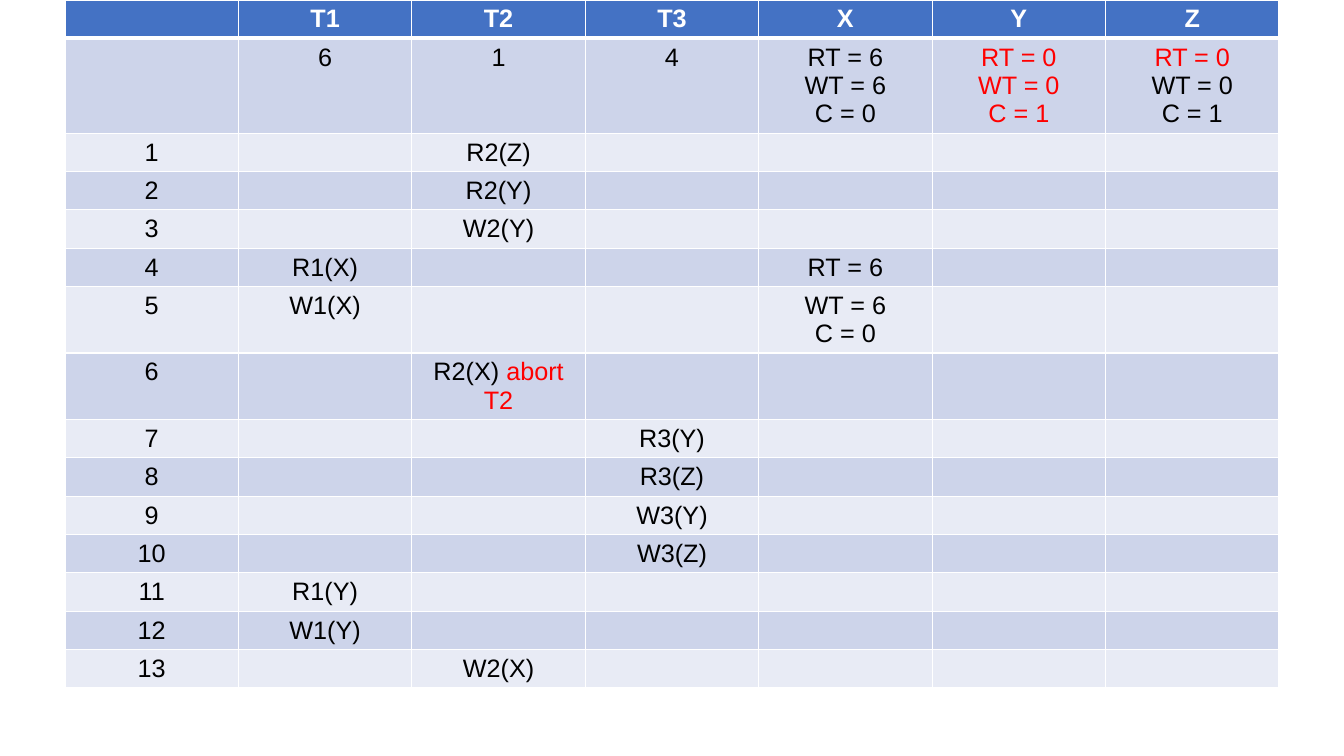
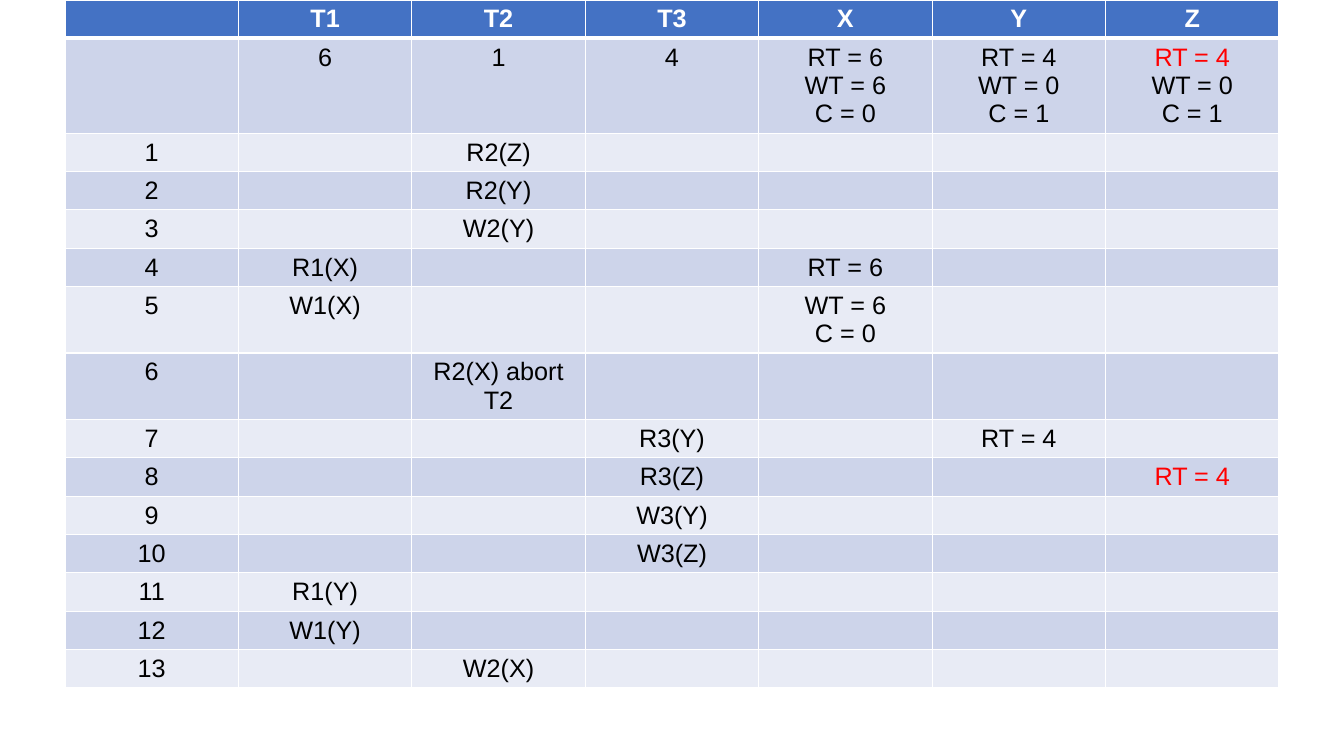
from dataclasses import dataclass

from lxml import etree
from pptx import Presentation
from pptx.dml.color import RGBColor
from pptx.enum.text import PP_ALIGN
from pptx.oxml.ns import qn
from pptx.util import Emu, Pt

CENTER = PP_ALIGN.CENTER
SCALE = 12192000 / 1344  # EMU in one px


def px(n):
    return Emu(round(n * SCALE))


@dataclass(frozen=True)
class Theme:
    font: str = "Arial"
    size: int = 18
    head: str = "4472C4"
    dark: str = "CDD4EA"
    light: str = "E8EBF5"
    white: str = "FFFFFF"
    black: str = "000000"
    red: str = "FF0000"
    thin: int = 1
    thick: int = 3


class Deck:
    def __init__(self, theme):
        self.theme = theme
        self.prs = Presentation()
        self.prs.slide_width, self.prs.slide_height = px(1344), px(756)
        self.slide = None

    def page(self):
        self.slide = self.prs.slides.add_slide(self.prs.slide_layouts[6])

    def border(self, cell, top, bottom):
        thin = self.theme.thin
        props = cell._tc.get_or_add_tcPr()
        for side, width in zip("LRTB", (thin, thin, top, bottom)):
            line = etree.SubElement(props, qn("a:ln" + side), w=str(Pt(width)))
            fill = etree.SubElement(line, qn("a:solidFill"))
            etree.SubElement(fill, qn("a:srgbClr"), val=self.theme.white)

    def label(self, cell, text, color, bold):
        """Fill a cell, one paragraph a line; each * turns red on or off."""
        t = self.theme
        cell.text_frame.text = text.replace("*", "")
        for par, line in zip(cell.text_frame.paragraphs, text.split("\n")):
            par.alignment = CENTER
            if not line:
                # An empty cell keeps the line height of the table font
                end = etree.SubElement(par._p, qn("a:endParaRPr"), sz=str(t.size * 100))
                etree.SubElement(end, qn("a:latin"), typeface=t.font)
                continue
            par.clear()
            for i, part in enumerate(line.split("*")):
                if part:
                    run = par.add_run()
                    run.text = part
                    run.font.name, run.font.size = t.font, Pt(t.size)
                    run.font.bold = bold
                    run.font.color.rgb = RGBColor.from_string(t.red if i % 2 else color)

    def table(self, x, y, width, heights, rows):
        t = self.theme
        count = len(rows[0])
        frame = self.slide.shapes.add_table(
            len(rows), count, px(x), px(y), px(width), px(sum(heights)))
        grid = frame.table
        for col in grid.columns:
            col.width = px(width / count)
        for r, texts in enumerate(rows):
            grid.rows[r].height = px(heights[r])
            head = r == 0
            back = t.head if head else t.dark if r % 2 else t.light
            for c, text in enumerate(texts):
                cell = grid.cell(r, c)
                self.border(cell, t.thick if r == 1 else t.thin, t.thick if head else t.thin)
                cell.fill.solid()
                cell.fill.fore_color.rgb = RGBColor.from_string(back)
                self.label(cell, text, t.white if head else t.black, head)


# Schedule shared by both slides: (column, operation) of each step
HEAD = ["", "T1", "T2", "T3", "X", "Y", "Z"]
STEPS = [
    ("T2", "R2(Z)"), ("T2", "R2(Y)"), ("T2", "W2(Y)"),
    ("T1", "R1(X)"), ("T1", "W1(X)"), ("T2", "R2(X) abort T2"),
    ("T3", "R3(Y)"), ("T3", "R3(Z)"), ("T3", "W3(Y)"), ("T3", "W3(Z)"),
    ("T1", "R1(Y)"), ("T1", "W1(Y)"), ("T2", "W2(X)"),
]
START = ["", "6", "1", "4", "RT = 6\nWT = 6\nC = 0"]
STAMPS = {(4, "X"): "RT = 6", (5, "X"): "WT = 6\nC = 0"}

# What each slide changes: start values of Y and Z, then (step, column) cells
PAGES = [
    (["*RT = 0\n*WT = 0\n*C = 1", "*RT = 0\nWT = 0\nC = 1"],
     {(6, "T2"): "R2(X)* abort T2"}),
    (["RT = 4\nWT = 0\nC = 1", "*RT = 4\nWT = 0\nC = 1"],
     {(7, "Y"): "RT = 4", (8, "Z"): "*RT = 4"}),
]

# Row heights by number of text lines
ONE, TWO, THREE = 38, 66, 94
HEIGHTS = [ONE, THREE] + [TWO if n in (5, 6) else ONE for n in range(1, len(STEPS) + 1)]


def schedule(start, changes):
    rows = [HEAD, START + start]
    for n, (col, step) in enumerate(STEPS, 1):
        cells = {(n, col): step, **STAMPS, **changes}
        rows.append([str(n)] + [cells.get((n, name), "") for name in HEAD[1:]])
    return rows


def main():
    deck = Deck(Theme())
    for start, changes in PAGES:
        deck.page()
        deck.table(65, 0, 1214, HEIGHTS, schedule(start, changes))
    deck.prs.save("out.pptx")


if __name__ == "__main__":
    main()
